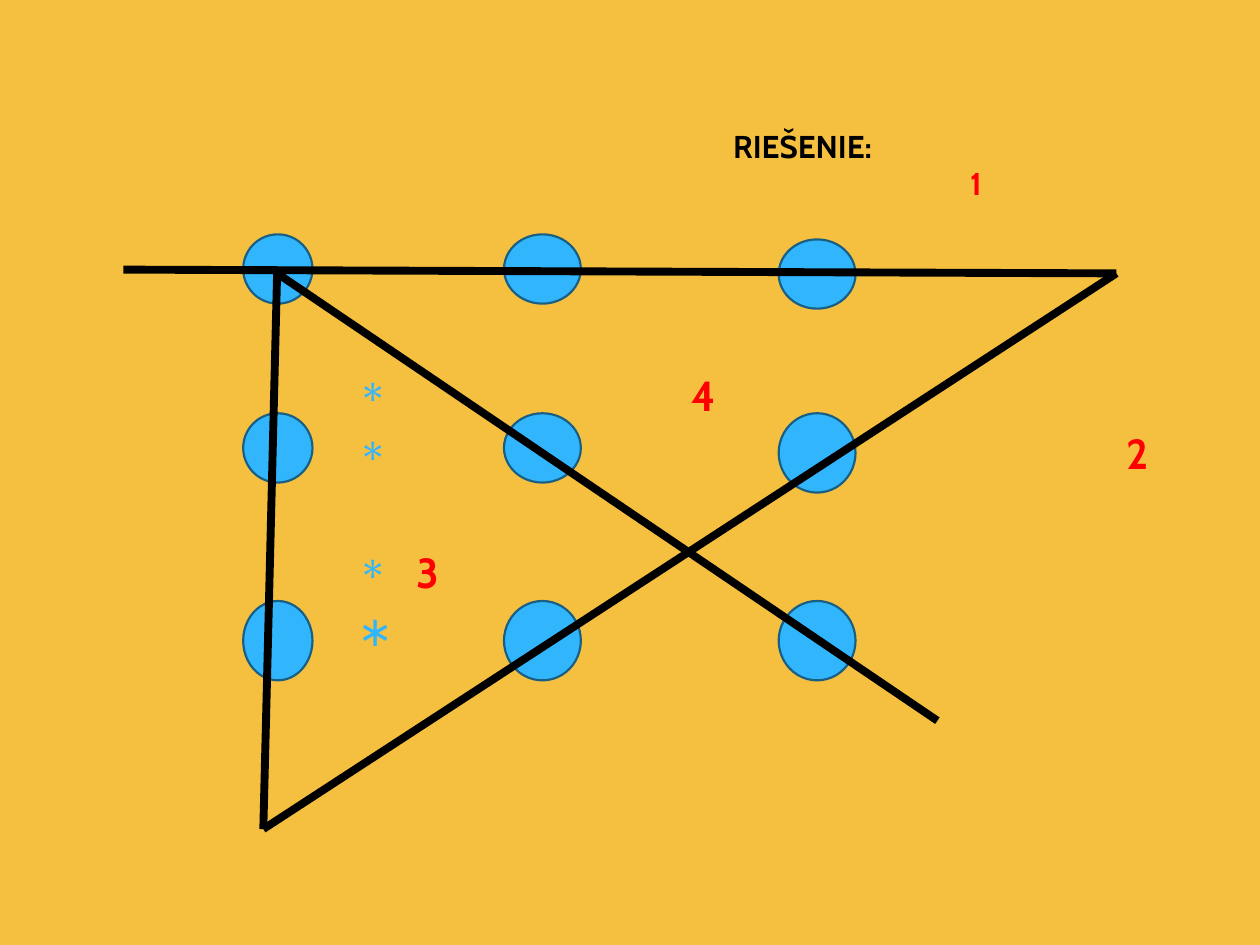
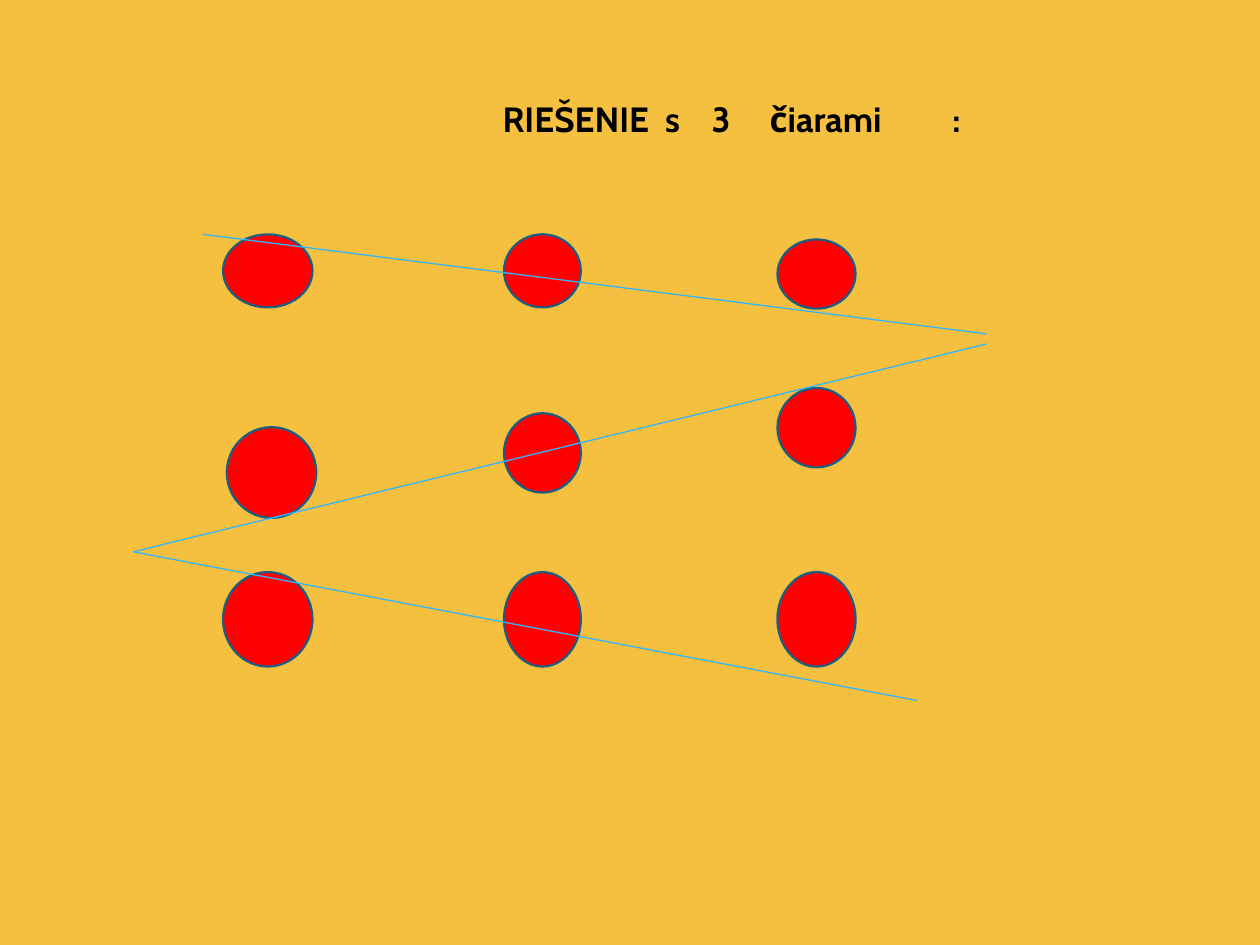
from dataclasses import dataclass
from typing import NamedTuple

from lxml.etree import SubElement
from pptx import Presentation
from pptx.dml.color import RGBColor
from pptx.enum.shapes import MSO_CONNECTOR as Connector, MSO_SHAPE as Preset
from pptx.enum.text import MSO_ANCHOR as Anchor, PP_ALIGN as Align
from pptx.oxml.ns import qn
from pptx.util import Emu, Inches, Pt

FONT = "Cabin"
BACKGROUND, BLUE, NAVY = "F5C040", "31B6FD", "195F84"
RED, BLACK = "FF0000", "000000"
COLUMNS, ROWS = 100, 75
WIDTH, HEIGHT = Inches(10), Inches(7.5)
CELL = WIDTH / COLUMNS
STAR = "∗"


class Span(NamedTuple):
    """Start and size along one axis, in grid cells; shift moves a dot sideways."""
    start: float
    size: float
    shift: float = 0


class Area(NamedTuple):
    left: float
    top: float
    width: float
    height: float


class Line(NamedTuple):
    start: tuple[float, float]
    end: tuple[float, float]


@dataclass(frozen=True)
class Puzzle:
    """Nine dots (column spans, then a row span for each dot) and the solving lines."""
    columns: tuple[Span, ...]
    rows: tuple[tuple[Span, ...], ...]
    dot_color: str
    lines: tuple[Line, ...]
    line_color: str
    line_width: float


FOUR_LINES = Puzzle(
    columns=(Span(19.3, 5.5), Span(40, 6.1), Span(61.8, 6.1)),
    rows=(
        (Span(18.6, 5.5), Span(18.6, 5.5), Span(19, 5.5)),
        (Span(32.8, 5.5), Span(32.8, 5.5), Span(32.8, 6.3)),
        (Span(47.7, 6.3),) * 3,
    ),
    dot_color=BLUE,
    lines=(
        Line((9.8, 21.4), (88.6, 21.7)),
        Line((88.6, 21.7), (20.9, 65.8)),
        Line((20.9, 65.8), (22, 21.4)),
        Line((22, 21.7), (74.4, 57.2)),
    ),
    line_color=BLACK,
    line_width=4.5,
)

THREE_LINES = Puzzle(
    columns=(Span(17.7, 7.1), Span(40, 6.1), Span(61.7, 6.2)),
    rows=(
        (Span(18.6, 5.8), Span(18.6, 5.8), Span(19, 5.5)),
        (Span(33.9, 7.2, 0.3), Span(32.8, 6.3), Span(30.8, 6.3)),
        (Span(45.4, 7.5),) * 3,
    ),
    dot_color=RED,
    lines=(
        Line((13.8, 43), (78.3, 27.3)),
        Line((16.1, 18.6), (78.3, 26.5)),
        Line((13.8, 43), (10.6, 43.8)),
        Line((10.6, 43.8), (72.8, 55.6)),
    ),
    line_color=BLUE,
    line_width=0.75,
)


def cells(count: float) -> Emu:
    return Emu(round(count * CELL))


def color(value: str) -> RGBColor:
    return RGBColor.from_string(value)


def add_dots(page, puzzle: Puzzle) -> None:
    for row in puzzle.rows:
        for column, span in zip(puzzle.columns, row):
            dot = page.shapes.add_shape(
                Preset.OVAL, cells(column.start + span.shift), cells(span.start),
                cells(column.size), cells(span.size))
            dot.shadow.inherit = False
            dot.fill.solid()
            dot.fill.fore_color.rgb = color(puzzle.dot_color)
            dot.line.color.rgb = color(NAVY)
            dot.line.width = Pt(1.25)


def add_lines(page, puzzle: Puzzle) -> None:
    for start, end in puzzle.lines:
        line = page.shapes.add_connector(
            Connector.STRAIGHT, *map(cells, start), *map(cells, end))
        line.line.color.rgb = color(puzzle.line_color)
        line.line.width = Pt(puzzle.line_width)
        SubElement(line._element.spPr, qn("a:effectLst"))


def add_box(page, area: Area, anchor=Anchor.TOP):
    box = page.shapes.add_textbox(*map(cells, area))
    frame = box.text_frame
    frame.word_wrap = True
    frame.vertical_anchor = anchor
    return frame


def add_text(frame, text: str, *, size: float, ink: str = BLACK, bold: bool = True,
             align=Align.LEFT, indent: float = 0, bullet: str = "",
             tabs: tuple[float, ...] = (), before: float = 0) -> None:
    """Add a paragraph; a bullet hangs at the box edge, the text starts at indent."""
    first = not frame.paragraphs[0].runs
    para = frame.paragraphs[0] if first else frame.add_paragraph()
    properties = para._p.get_or_add_pPr()
    properties.set("marL", str(cells(indent)))
    if bullet:
        properties.set("indent", str(-cells(indent)))
        paint = SubElement(properties, qn("a:buClr"))
        SubElement(paint, qn("a:srgbClr"), val=BLUE)
        SubElement(properties, qn("a:buChar"), char=bullet)
    if tabs:
        stops = SubElement(properties, qn("a:tabLst"))
        for stop in tabs:
            SubElement(stops, qn("a:tab"), pos=str(cells(stop)), algn="l")
    para.alignment = align
    if not first:
        para.space_before = Pt(before)
    span = para.add_run()
    span.text = text
    span.font.name = FONT
    span.font.size = Pt(size)
    span.font.bold = bold
    span.font.color.rgb = color(ink)


def add_page(deck):
    return deck.slides.add_slide(deck.slide_layouts[6])


def build_four_lines(deck) -> None:
    page = add_page(deck)
    add_dots(page, FOUR_LINES)

    title = add_box(page, Area(27.4, 10.7, 72.6, 4.7), Anchor.MIDDLE)
    add_text(title, "RIEŠENIE:", size=18, align=Align.CENTER)
    add_text(title, "1", size=18, ink=RED, align=Align.CENTER, indent=27.5)

    numbers = add_box(page, Area(27.4, 28.8, 72.6, 34.5))
    gap, skipped_line = 4.8, 34
    for number, indent, before in (
            ("4", 26.5, 0), ("2", 61, gap), ("3", 4.7, gap + skipped_line)):
        add_text(numbers, number, size=24, ink=RED, indent=indent,
                 bullet=STAR, before=before)
    add_text(numbers, STAR, size=24, ink=BLUE, bold=False, before=gap)

    add_lines(page, FOUR_LINES)


def build_three_lines(deck) -> None:
    page = add_page(deck)
    add_dots(page, THREE_LINES)

    title = add_box(page, Area(16.9, 6.8, 83.1, 8.7), Anchor.MIDDLE)
    title.margin_bottom = cells(3.9)
    add_text(title, "\tRIEŠENIE\ts\t3\tčiarami\t:", size=20,
             tabs=(22, 34.9, 38.6, 43.2, 57.7))

    add_lines(page, THREE_LINES)


def main() -> None:
    deck = Presentation()
    deck.slide_width, deck.slide_height = WIDTH, HEIGHT
    backdrop = deck.slide_master.background.fill
    backdrop.solid()
    backdrop.fore_color.rgb = color(BACKGROUND)
    build_four_lines(deck)
    build_three_lines(deck)
    deck.save("out.pptx")


if __name__ == "__main__":
    main()
